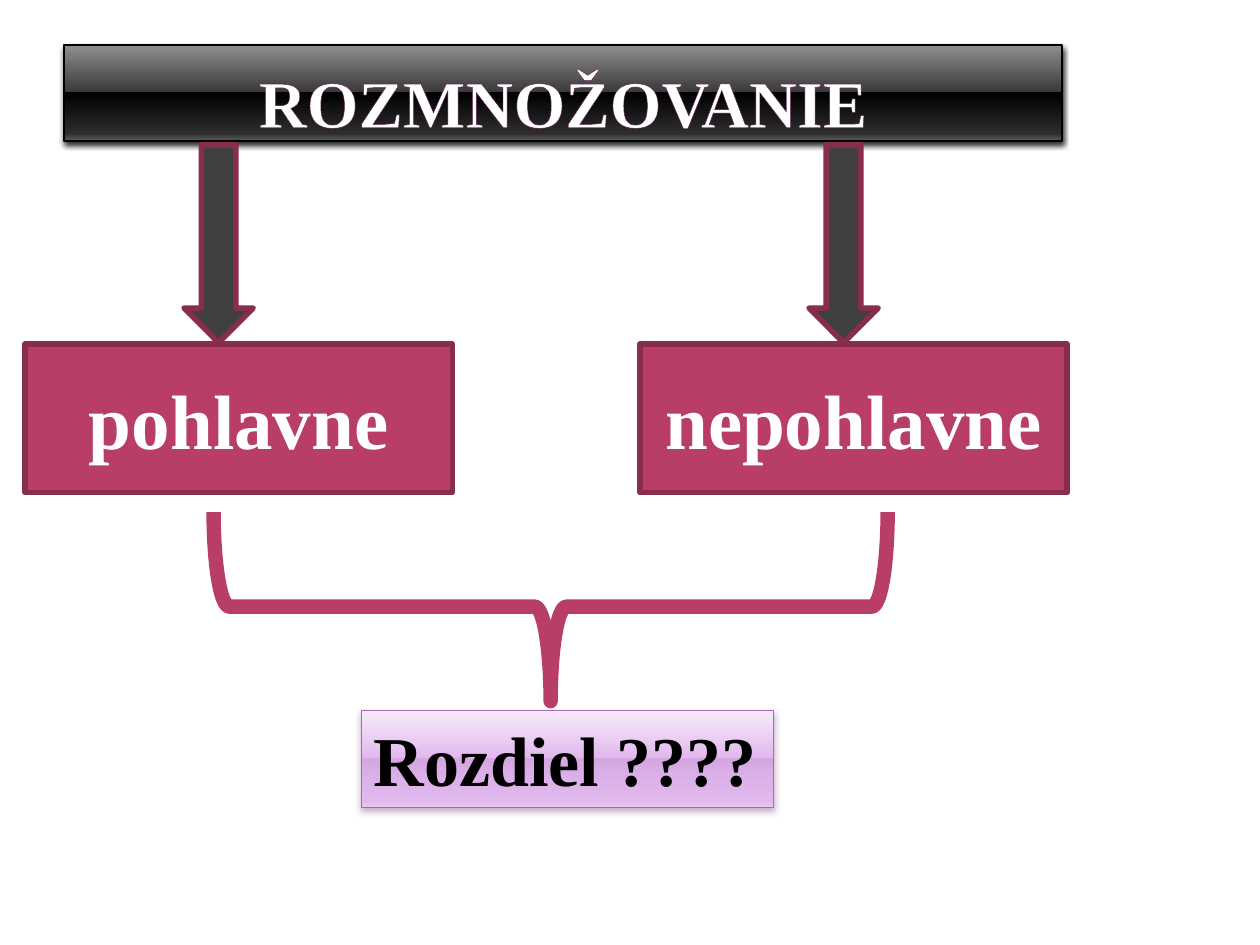
import pptx
import pptx.dml.color
import pptx.enum.shapes
import pptx.enum.text
import pptx.oxml
import pptx.oxml.ns
import pptx.util

Inches = pptx.util.Inches
Pt = pptx.util.Pt
KIND = pptx.enum.shapes.MSO_SHAPE
ANCHOR = pptx.enum.text.MSO_ANCHOR
ALIGN = pptx.enum.text.PP_ALIGN
NS = pptx.oxml.ns.nsdecls("a")
ROSE, WINE, GREY = "B83D68", "882D4D", "404040"


def color(code):
    return pptx.dml.color.RGBColor.from_string(code)


def rgb(code, inner=""):
    return f'<a:srgbClr val="{code}">{inner}</a:srgbClr>'


class Board:
    """Holds the text style and the slide being drawn."""

    font = {"name": "Times New Roman", "bold": True}

    def __init__(self, slide):
        self.slide = slide

    def shape(self, kind, at, line, width, fill=None):
        item = self.slide.shapes.add_shape(kind, *map(Inches, at))
        item.shadow.inherit = False
        item.line.color.rgb = color(line)
        item.line.width = Pt(width)
        if fill:
            item.fill.solid()
            item.fill.fore_color.rgb = color(fill)
        else:
            item.fill.background()
        return item

    def arrow(self, at):
        return self.shape(KIND.DOWN_ARROW, at, WINE, 3.15, GREY)

    def brace(self, at):
        item = self.shape(KIND.RIGHT_BRACE, at, ROSE, 8.25)
        item.rotation = 90
        return item

    def box(self, at, line=WINE, width=3.15):
        return self.shape(KIND.RECTANGLE, at, line, width, ROSE)

    def glossy(self, at, line, stops, shade, alpha, blur, dist):
        """Add a box with a downward gradient and a shadow below."""
        item = self.box(at, line, 0.9)
        props = item._element.spPr
        marks = "".join(f'<a:gs pos="{pos * 1000}">{rgb(code)}</a:gs>'
                        for pos, code in stops)
        solid = props.find(pptx.oxml.ns.qn("a:solidFill"))
        props.replace(solid, pptx.oxml.parse_xml(
            f'<a:gradFill {NS} rotWithShape="1"><a:gsLst>{marks}</a:gsLst>'
            '<a:lin ang="5400000" scaled="0"/></a:gradFill>'))
        tone = rgb(shade, f'<a:alpha val="{alpha * 1000}"/>')
        props.find(pptx.oxml.ns.qn("a:effectLst")).append(pptx.oxml.parse_xml(
            f'<a:outerShdw {NS} blurRad="{Pt(blur)}" dist="{Pt(dist)}" '
            f'dir="5400000" rotWithShape="0">{tone}</a:outerShdw>'))
        return item

    def text(self, item, words, size, ink="FFFFFF", align=ALIGN.CENTER, **frame):
        body = item.text_frame
        look = {"word_wrap": True, "vertical_anchor": ANCHOR.MIDDLE, **frame}
        for key, value in look.items():
            setattr(body, key, value)
        par = body.paragraphs[0]
        par.alignment = align
        run = par.add_run()
        run.text = words
        for key, value in {**self.font, "size": Pt(size)}.items():
            setattr(run.font, key, value)
        run.font.color.rgb = color(ink)
        return run

    def outline(self, run, code, width):
        run._r.get_or_add_rPr().insert(0, pptx.oxml.parse_xml(
            f'<a:ln {NS} w="{Pt(width)}"><a:solidFill>{rgb(code)}'
            '</a:solidFill></a:ln>'))


def main():
    deck = pptx.Presentation()
    deck.slide_width, deck.slide_height = Inches(10), Inches(7.5)
    board = Board(deck.slides.add_slide(deck.slide_layouts[6]))

    black = [(0, "8E8E8E"), (49, "3A3A3A"), (49, "000000"),
             (92, "2C2C2C"), (100, "5C5C5C")]
    title = board.glossy((0.51, 0.36, 7.92, 0.76), "000000", black,
                         "000000", 83, 3.1, 2)
    run = board.text(title, "ROZMNOŽOVANIE", 38,
                     vertical_anchor=ANCHOR.BOTTOM,
                     margin_left=Inches(0.05), margin_right=Inches(0.05),
                     margin_top=0, margin_bottom=0)
    board.outline(run, "5E1A50", 0.04)

    for left in (1.46, 6.42):
        board.arrow((left, 1.15, 0.55, 1.57))
    for left, words in ((0.2, "pohlavne"), (5.08, "nepohlavne")):
        board.text(board.box((left, 2.73, 3.39, 1.18)), words, 44)

    board.brace((3.62, 2.14, 1.5, 5.35))

    lilac = [(0, "F7EBFB"), (49, "E2B9ED"), (49, "D5A7E2"),
             (92, "E2B9ED"), (100, "E6C6EF")]
    query = board.glossy((2.87, 5.64, 3.27, 0.77), "AC66BB", lilac,
                         "6E307B", 38, 4, 2)
    board.text(query, "Rozdiel ????", 40, "000000", ALIGN.LEFT,
               word_wrap=False, vertical_anchor=ANCHOR.TOP,
               auto_size=pptx.enum.text.MSO_AUTO_SIZE.SHAPE_TO_FIT_TEXT)

    deck.save("out.pptx")


if __name__ == "__main__":
    main()
